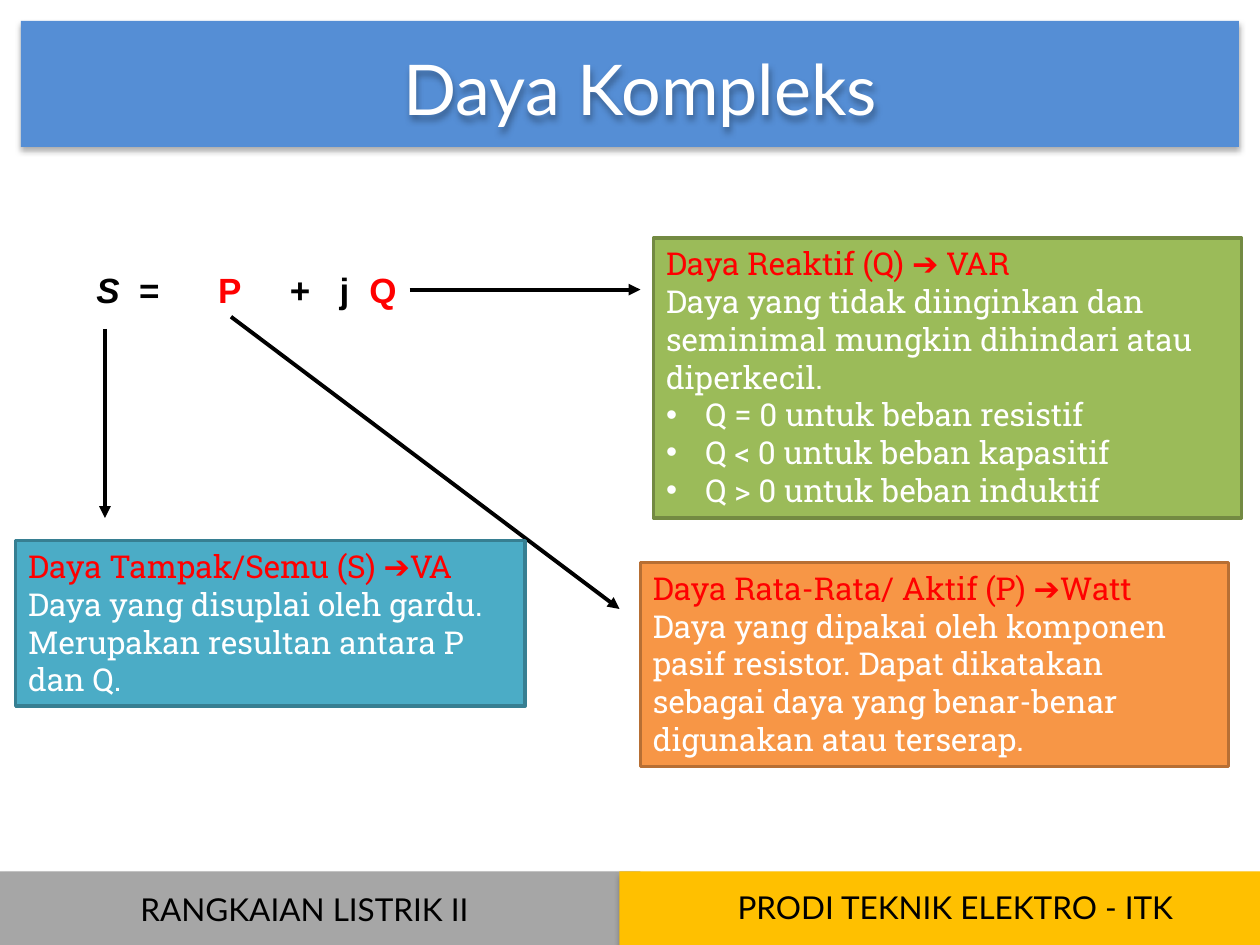
"""Build the "Daya Kompleks" slide on complex power."""
from copy import deepcopy
from lxml.etree import SubElement
from pptx import Presentation
from pptx.dml.color import RGBColor
from pptx.enum.shapes import MSO_CONNECTOR, MSO_SHAPE
from pptx.enum.text import MSO_ANCHOR, PP_ALIGN
from pptx.oxml import parse_xml
from pptx.oxml.ns import qn
from pptx.util import Pt

SHADE = parse_xml(
    '<a:effectLst xmlns:a="http://schemas.openxmlformats.org/drawingml/2006/main">'
    '<a:outerShdw blurRad="44450" dist="27940" dir="5400000" rotWithShape="0">'
    '<a:srgbClr val="000000"><a:alpha val="32000"/></a:srgbClr>'
    '</a:outerShdw></a:effectLst>')
RED, WHITE, BLACK = "FF0000", "FFFFFF", "000000"


def paint(fill, color):
    fill.solid()
    fill.fore_color.rgb = RGBColor.from_string(color)


def write(para, text, color, **style):
    run = para.add_run()
    run.text = text
    paint(run.font.fill, color)
    for key, value in style.items():
        setattr(run.font, key, value)


deck = Presentation()
deck.slide_width, deck.slide_height = Pt(720), Pt(540)
slide = deck.slides.add_slide(deck.slide_layouts[5])
shapes = slide.shapes
title = shapes.title

bars = [
    (12, 12, 696, 72, "558ED5"),
    (0, 498, 366, 42, "A6A6A6"),
    (354, 498, 366, 42, "FFC000"),
]
for *place, color in bars:
    bar = shapes.add_shape(MSO_SHAPE.RECTANGLE, *map(Pt, place))
    paint(bar.fill, color)
    bar.line.fill.background()
    bar._element.spPr.append(deepcopy(SHADE))

place = {"left": 0, "top": 22, "width": 732, "height": 56}
for key, value in place.items():
    setattr(title, key, Pt(value))
title.fill.background()
title._element.spPr.append(deepcopy(SHADE))
shapes._spTree.append(title._element)
title.text_frame.vertical_anchor = MSO_ANCHOR.MIDDLE
head = title.text_frame.paragraphs[0]
head.alignment = PP_ALIGN.CENTER
write(head, "Daya Kompleks", WHITE, name="Lato", size=Pt(40))

feet = [(0, 505, "RANGKAIAN LISTRIK II"), (372, 504, "PRODI TEKNIK ELEKTRO - ITK")]
for left, top, text in feet:
    foot = shapes.add_textbox(Pt(left), Pt(top), Pt(348), Pt(29)).text_frame
    foot.word_wrap = True
    foot.paragraphs[0].alignment = PP_ALIGN.CENTER
    write(foot.paragraphs[0], text, BLACK, name="Lato", size=Pt(18))

frame = shapes.add_textbox(Pt(48), Pt(150), Pt(198), Pt(31)).text_frame
frame.word_wrap = True
sum_line = frame.paragraphs[0]
terms = [("S", BLACK), ("\t=\t", BLACK), ("P\t", RED), ("+\tj\t", BLACK), ("Q", RED)]
for text, color in terms:
    write(sum_line, text, color, name="Arial", size=Pt(20), bold=True, italic=text == "S")
tabs = SubElement(sum_line._p.get_or_add_pPr(), qn("a:tabLst"))
for stop in (24.5, 69.5, 110.5, 139, 156):
    SubElement(tabs, qn("a:tab"), pos=str(Pt(stop)), algn="l")

arrows = [(234, 165.5, 366, 165.5), (132, 181, 354, 348), (60, 188, 60, 296)]
for ends in arrows:
    arrow = shapes.add_connector(MSO_CONNECTOR.STRAIGHT, *map(Pt, ends))
    paint(arrow.line.fill, BLACK)
    arrow.line.width = Pt(2.25)
    SubElement(arrow.line._get_or_add_ln(), qn("a:tailEnd"), type="triangle")
    SubElement(arrow._element.spPr, qn("a:effectLst"))

cards = [
    (373.5, 136, 336, 160, "9BBB59", "738A42", "Daya Reaktif (Q) ➔ VAR",
     "Daya yang tidak diinginkan dan seminimal mungkin dihindari atau diperkecil.",
     ["Q = 0 untuk beban resistif", "Q < 0 untuk beban kapasitif",
      "Q > 0 untuk beban induktif"]),
    (366, 321.5, 336, 116.5, "F79646", "B76F34", "Daya Rata-Rata/ Aktif (P) ➔Watt",
     "Daya yang dipakai oleh komponen pasif resistor. Dapat dikatakan sebagai "
     "daya yang benar-benar digunakan atau terserap.", []),
    (9, 309, 291, 94.5, "4BACC6", "377F92", "Daya Tampak/Semu (S) ➔VA",
     "Daya yang disuplai oleh gardu. Merupakan resultan antara P dan Q.", []),
]
for *place, fill, edge, name, body, points in cards:
    card = shapes.add_shape(MSO_SHAPE.RECTANGLE, *map(Pt, place))
    card.shadow.inherit = False
    paint(card.fill, fill)
    paint(card.line.fill, edge)
    card.line.width = Pt(2)
    frame = card.text_frame
    frame.word_wrap = True
    frame.vertical_anchor = MSO_ANCHOR.TOP
    for row, text in enumerate([name, body, *points]):
        para = frame.add_paragraph() if row else frame.paragraphs[0]
        para.alignment = PP_ALIGN.LEFT
        write(para, text, WHITE if row else RED, name="Roboto Slab", size=Pt(18))
        if row > 1:
            props = para._p.get_or_add_pPr()
            props.set("marL", str(Pt(22.5)))
            props.set("indent", str(-Pt(22.5)))
            SubElement(props, qn("a:buFont"), typeface="Arial")
            SubElement(props, qn("a:buChar"), char="•")

deck.save("out.pptx")
